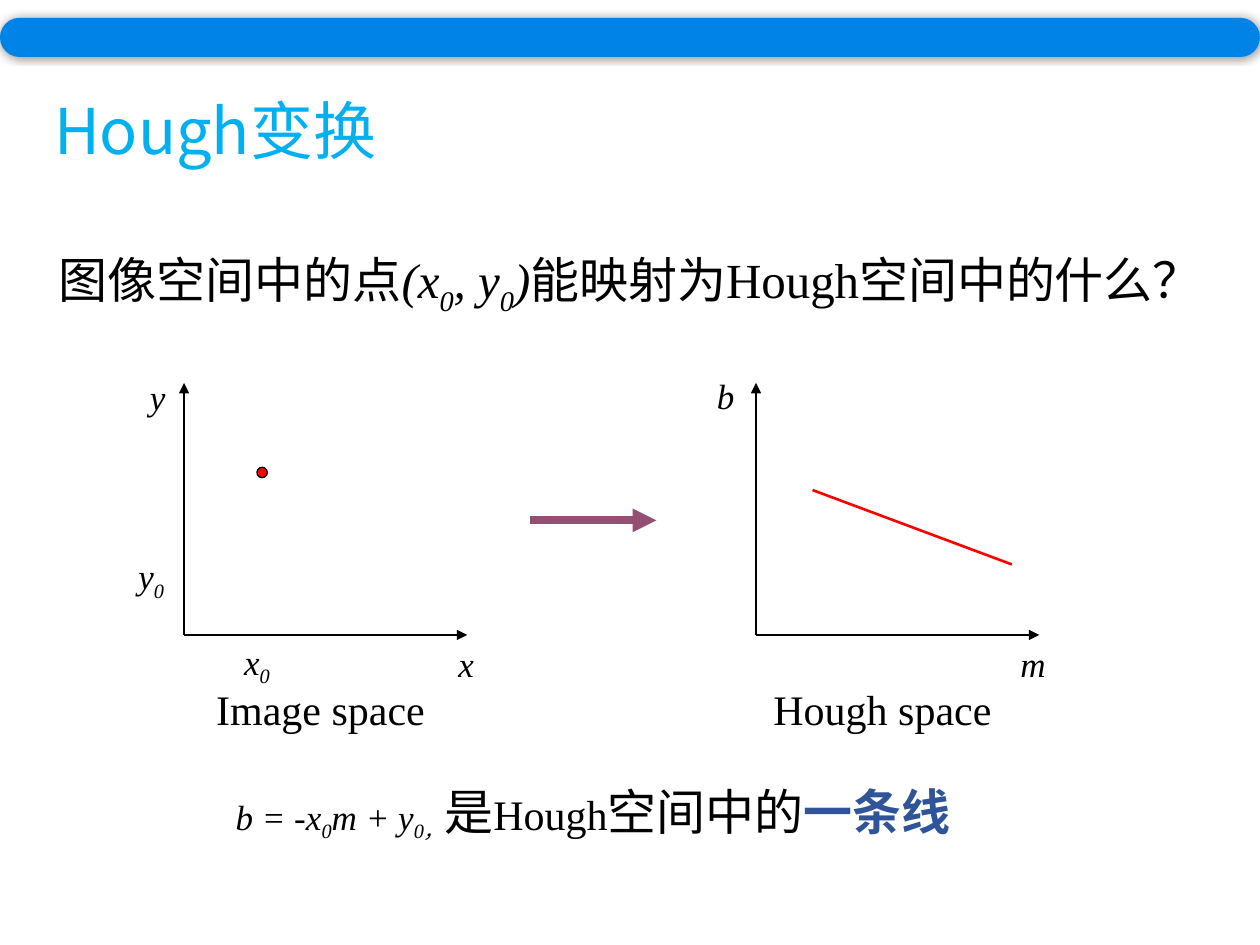
from lxml import etree
from pptx import Presentation
from pptx.dml.color import RGBColor
from pptx.enum.shapes import MSO_CONNECTOR, MSO_SHAPE
from pptx.enum.text import MSO_ANCHOR
from pptx.oxml.ns import qn
from pptx.util import Cm, Pt

STRAIGHT = MSO_CONNECTOR.STRAIGHT
OVAL, ROUND_RECT = MSO_SHAPE.OVAL, MSO_SHAPE.ROUNDED_RECTANGLE
TOP, MIDDLE = MSO_ANCHOR.TOP, MSO_ANCHOR.MIDDLE

BLACK = RGBColor(0, 0, 0)
RED = RGBColor(0xFF, 0, 0)
BAR_BLUE = RGBColor(0x00, 0x83, 0xE6)
TITLE_BLUE = RGBColor(0x00, 0xB0, 0xF0)
KEY_BLUE = RGBColor(0x2F, 0x54, 0x97)
PLUM = RGBColor(0x95, 0x4F, 0x72)

SERIF, SANS = "Times New Roman", "Noto Sans CJK SC"
SLIDE_W, SLIDE_H = 25.4, 19.05
AXIS_W, AXIS_H = 5.71, 5.08


def add_run(p, text, size, font=SERIF, color=BLACK, italic=False, bold=False, sub=False):
    r = p.add_run()
    r.text = text
    r.font.name, r.font.size = font, Pt(size)
    r.font.italic, r.font.bold = italic, bold
    r.font.color.rgb = color
    etree.SubElement(r.font._element, qn("a:ea"), typeface=SANS)
    if sub:
        r.font._element.set("baseline", "-25000")


def add_math(p, parts, size):
    """Italic runs; every second part is a subscript."""
    for i, part in enumerate(parts):
        add_run(p, part, size, italic=True, sub=i % 2 == 1)


def add_text(s, x, y, w, h, wrap=True, anchor=TOP, margin=0, spacing=None):
    """Empty text box; returns its paragraph. A margin hangs the first line."""
    tf = s.shapes.add_textbox(Cm(x), Cm(y), Cm(w), Cm(h)).text_frame
    tf.word_wrap, tf.vertical_anchor = wrap, anchor
    p = tf.paragraphs[0]
    if spacing:
        p.line_spacing = spacing
    if margin:
        pPr = p._p.get_or_add_pPr()
        pPr.set("marL", str(Cm(margin)))
        pPr.set("indent", str(Cm(-0.64)))
    return p


def add_line(s, x1, y1, x2, y2, color=BLACK, width=1, arrow=True):
    line = s.shapes.add_connector(STRAIGHT, Cm(x1), Cm(y1), Cm(x2), Cm(y2))
    line.line.color.rgb, line.line.width = color, Pt(width)
    if arrow:
        etree.SubElement(line.line._get_or_add_ln(), qn("a:tailEnd"), type="triangle")
    etree.SubElement(line._element.spPr, qn("a:effectLst"))


def add_header(s, x, y, w):
    # Bar with a soft shadow
    bar = s.shapes.add_shape(ROUND_RECT, Cm(x), Cm(y), Cm(w), Cm(0.79))
    bar.adjustments[0] = 0.5
    bar.fill.solid()
    bar.fill.fore_color.rgb = BAR_BLUE
    bar.line.fill.background()
    bar.shadow.inherit = False
    effects = bar._element.spPr.find(qn("a:effectLst"))
    shadow = etree.SubElement(effects, qn("a:outerShdw"), blurRad=str(Pt(5)), dist="0", dir="0")
    black = etree.SubElement(shadow, qn("a:srgbClr"), val="000000")
    etree.SubElement(black, qn("a:alpha"), val="40000")
    # Title
    p = add_text(s, x + 0.84, y + 0.76, w - 1.68, 3.18, anchor=MIDDLE, spacing=0.9)
    add_run(p, "Hough变换", 36, SANS, TITLE_BLUE)


def add_question(s, x, y, w, h):
    p = add_text(s, x, y, w, h, margin=1.91, spacing=0.9)
    add_run(p, "图像空间中的点", 28, SANS)
    add_math(p, ["(x", "0", ", y", "0", ")"], 28)
    add_run(p, "能映射为", 28, SANS)
    add_run(p, "Hough", 28)
    add_run(p, "空间中的什么？", 28, SANS)


def add_axes(s, x, y, labels, caption, caption_dx):
    """Arrow axes with the top left at x, y; labels are (parts, dx, dy, width)."""
    bottom = y + AXIS_H
    add_line(s, x, bottom, x, y)
    add_line(s, x, bottom, x + AXIS_W, bottom)
    for parts, dx, dy, w in labels:
        add_math(add_text(s, x + dx, y + dy, w, 1.09, wrap=False), parts, 20)
    p = add_text(s, x + caption_dx, y + 5.93, 5.1, 1.27, wrap=False)
    add_run(p, caption, 24)


def add_image_space(s, x, y):
    labels = [(["x"], 5.28, 5.11, 0.81), (["y"], -0.94, -0.28, 1.04),
              (["x", "0"], 0.96, 5.06, 1.04), (["y", "0"], -1.17, 3.33, 1.04)]
    add_axes(s, x, y, labels, "Image space", 0.4)
    # Point (x0, y0)
    dot = s.shapes.add_shape(OVAL, Cm(x + 1.47), Cm(y + 1.7), Cm(0.21), Cm(0.21))
    dot.fill.solid()
    dot.fill.fore_color.rgb = RED
    dot.line.color.rgb, dot.line.width = BLACK, Pt(0.75)
    dot.shadow.inherit = False


def add_hough_space(s, x, y):
    labels = [(["m"], 5.08, 5.11, 1.02), (["b"], -1.04, -0.3, 0.86)]
    add_axes(s, x, y, labels, "Hough space", 0.1)
    # Line that the point maps to
    add_line(s, x + 1.14, y + 2.16, x + 5.16, y + 3.66, RED, 1.5, arrow=False)


def add_conclusion(s, x, y, w, h):
    p = add_text(s, x, y, w, h, margin=3.18)
    add_math(p, ["b = -x", "0", "m + y", "0，"], 20)
    add_run(p, "是", 28, SANS)
    add_run(p, "Hough", 24)
    add_run(p, "空间中的", 28, SANS)
    add_run(p, "一条线", 28, SANS, KEY_BLUE, bold=True)


def main():
    prs = Presentation()
    prs.slide_width, prs.slide_height = Cm(SLIDE_W), Cm(SLIDE_H)
    s = prs.slides.add_slide(prs.slide_layouts[6])
    add_header(s, 0, 0.36, SLIDE_W)
    add_question(s, -0.33, 4.93, 28.8, 3.96)
    add_image_space(s, 3.71, 7.72)
    add_line(s, 10.69, 10.49, 13.23, 10.49, PLUM, 4.5)  # mapping arrow
    add_hough_space(s, 15.24, 7.72)
    add_conclusion(s, 1.96, 15.62, 22.66, 1.9)
    prs.save("out.pptx")


if __name__ == "__main__":
    main()
